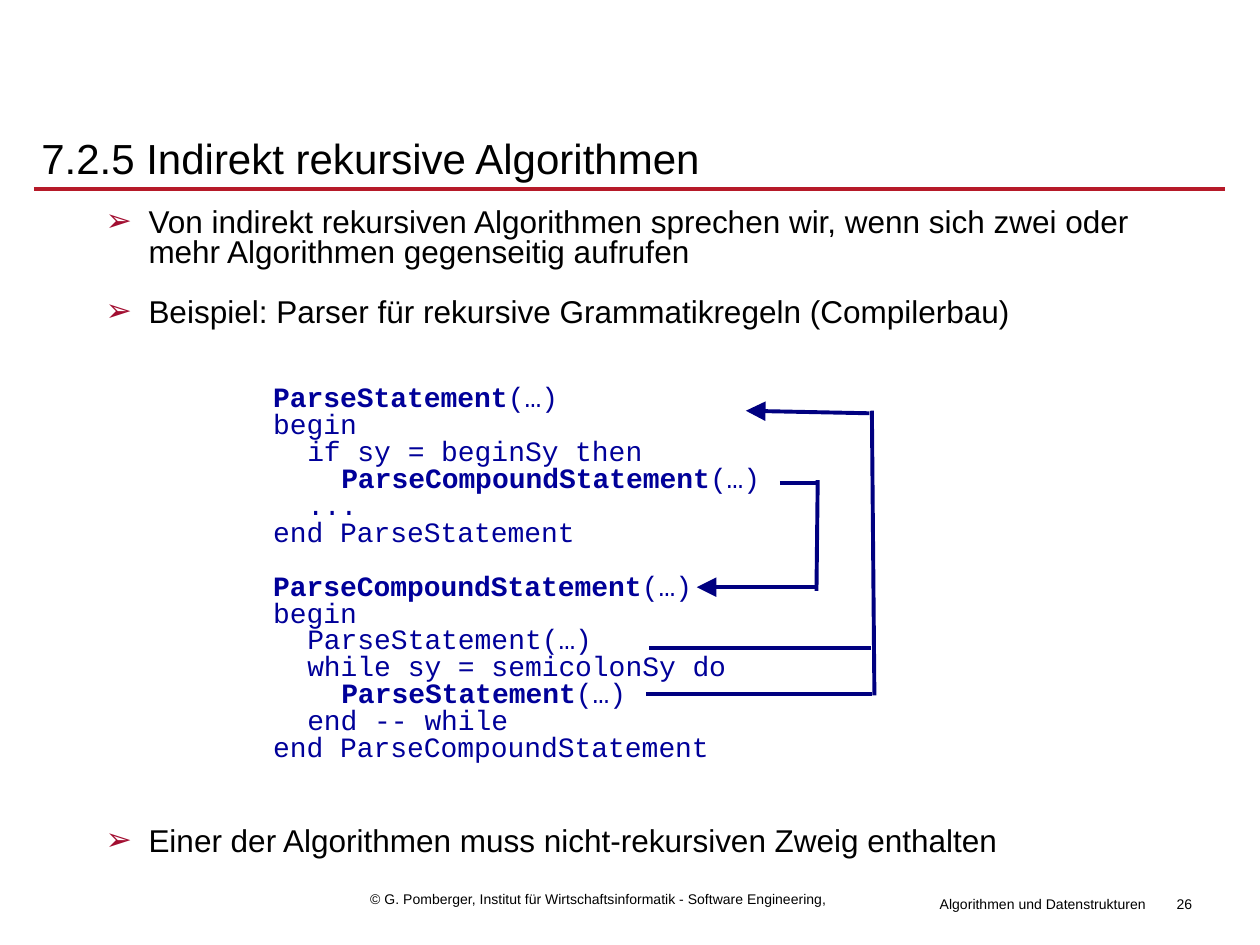
from lxml.etree import SubElement
from pptx import Presentation
from pptx.dml.color import RGBColor
from pptx.enum.shapes import MSO_CONNECTOR
from pptx.enum.text import MSO_ANCHOR, PP_ALIGN
from pptx.oxml.ns import qn
from pptx.util import Inches, Pt

COLORS = {"text": "000000", "code": "000099", "bullet": "A20D30",
          "rule": "B61A29", "call": "000080"}

TITLE = "7.2.5 Indirekt rekursive Algorithmen"
INTRO = [
    "Von indirekt rekursiven Algorithmen sprechen wir, wenn sich zwei oder "
    "mehr Algorithmen gegenseitig aufrufen",
    "Beispiel: Parser für rekursive Grammatikregeln (Compilerbau)",
]
# Each code line: indent level, bold part, plain part
PROCEDURES = [
    [
        (0, "ParseStatement", "(…)"),
        (0, "", "begin"),
        (1, "", "if sy = beginSy then"),
        (2, "ParseCompoundStatement", "(…)"),
        (1, "", "..."),
        (0, "", "end ParseStatement"),
    ],
    [
        (0, "ParseCompoundStatement", "(…)"),
        (0, "", "begin"),
        (1, "", "ParseStatement(…)"),
        (1, "", "while sy = semicolonSy do"),
        (2, "ParseStatement", "(…)"),
        (1, "", "end -- while"),
        (0, "", "end ParseCompoundStatement"),
    ],
]
CONCLUSION = "Einer der Algorithmen muss nicht-rekursiven Zweig enthalten"

# Footer: text, box, alignment
FOOTERS = [
    ("© G. Pomberger, Institut für Wirtschaftsinformatik - Software Engineering,",
     (2.84, 7.02, 3.86, 0.24), PP_ALIGN.LEFT),
    ("Algorithmen und Datenstrukturen", (7.36, 7.06, 1.89, 0.24), PP_ALIGN.LEFT),
    ("26", (9.02, 7.06, 0.54, 0.24), PP_ALIGN.RIGHT),
]
# Call lines: start, end, arrowhead at the start
CALLS = [
    ((6.19, 3.83), (6.49, 3.83), False),
    ((6.48, 4.69), (6.49, 3.81), False),
    ((5.53, 4.66), (6.48, 4.66), True),
    ((6.94, 5.52), (6.92, 3.26), False),
    ((5.92, 3.26), (6.90, 3.28), True),
    ((6.91, 5.14), (5.15, 5.14), False),
    ((6.92, 5.51), (5.13, 5.51), False),
]

BODY_FONT = {"name": "Arial", "size": Pt(18)}
CODE_FONT = {"name": "Courier New", "size": Pt(16)}
TITLE_FONT = {"name": "Arial", "size": Pt(24)}
FOOTER_FONT = {"name": "Arial", "size": Pt(8)}
BULLET_LEFT, BULLET_HANG = 0.79, 0.34
CODE_LEFT, CODE_STEP = 1.78, 0.27
# Space before, in points
GAPS = {"bullet": 17.2, "code": 32.3, "line": 0, "procedure": 15.4, "conclusion": 37.2}


def add_text_frame(slide, box, anchor=MSO_ANCHOR.TOP):
    frame = slide.shapes.add_textbox(*map(Inches, box)).text_frame
    frame.word_wrap = True
    frame.vertical_anchor = anchor
    return frame


def add_run(paragraph, text, font, color="text", bold=False):
    run = paragraph.add_run()
    run.text = text
    for key, value in {**font, "bold": bold}.items():
        setattr(run.font, key, value)
    run.font.color.rgb = RGBColor.from_string(COLORS[color])


def add_body_paragraph(frame, gap, left, hang=0):
    first = frame.paragraphs[0]
    paragraph = frame.add_paragraph() if first.runs else first
    paragraph.line_spacing = 0.8
    paragraph.space_before = Pt(gap)
    properties = paragraph._p.get_or_add_pPr()
    properties.set("marL", str(Inches(left)))
    properties.set("indent", str(-Inches(hang)))
    return paragraph


def add_bullet(frame, text, gap):
    paragraph = add_body_paragraph(frame, gap, BULLET_LEFT, BULLET_HANG)
    properties = paragraph._p.get_or_add_pPr()
    bullet_color = SubElement(properties, qn("a:buClr"))
    SubElement(bullet_color, qn("a:srgbClr"), val=COLORS["bullet"])
    SubElement(properties, qn("a:buFont"), typeface=BODY_FONT["name"])
    SubElement(properties, qn("a:buChar"), char="➢")
    add_run(paragraph, text, BODY_FONT)


def add_code_line(frame, level, strong, plain, gap):
    paragraph = add_body_paragraph(frame, gap, CODE_LEFT + level * CODE_STEP)
    if strong:
        add_run(paragraph, strong, CODE_FONT, "code", True)
    add_run(paragraph, plain, CODE_FONT, "code")


def add_line(slide, start, end, color, width, arrow=False):
    line = slide.shapes.add_connector(
        MSO_CONNECTOR.STRAIGHT, *map(Inches, start + end))
    line.line.color.rgb = RGBColor.from_string(COLORS[color])
    line.line.width = Pt(width)
    if arrow:
        SubElement(line.line._get_or_add_ln(), qn("a:headEnd"),
                   type="triangle", w="lg", len="lg")
    SubElement(line._element.spPr, qn("a:effectLst"))


def main():
    deck = Presentation()
    deck.slide_width, deck.slide_height = Inches(10), Inches(7.5)
    slide = deck.slides.add_slide(deck.slide_layouts[6])

    add_line(slide, (0.27, 1.5), (9.72, 1.5), "rule", 1.75)
    for text, box, alignment in FOOTERS:
        footer = add_text_frame(slide, box).paragraphs[0]
        footer.alignment = alignment
        add_run(footer, text, FOOTER_FONT)

    title = add_text_frame(slide, (0.23, 0.87, 9.53, 0.76), MSO_ANCHOR.MIDDLE)
    add_run(title.paragraphs[0], TITLE, TITLE_FONT)

    body = add_text_frame(slide, (0.29, 1.61, 9.35, 5.31))
    for number, text in enumerate(INTRO):
        add_bullet(body, text, GAPS["bullet"] if number else 0)
    for number, procedure in enumerate(PROCEDURES):
        gap = GAPS["procedure" if number else "code"]
        for code_line in procedure:
            add_code_line(body, *code_line, gap)
            gap = GAPS["line"]
    add_bullet(body, CONCLUSION, GAPS["conclusion"])

    for start, end, arrow in CALLS:
        add_line(slide, start, end, "call", 2.25, arrow)

    deck.save("out.pptx")


if __name__ == "__main__":
    main()
